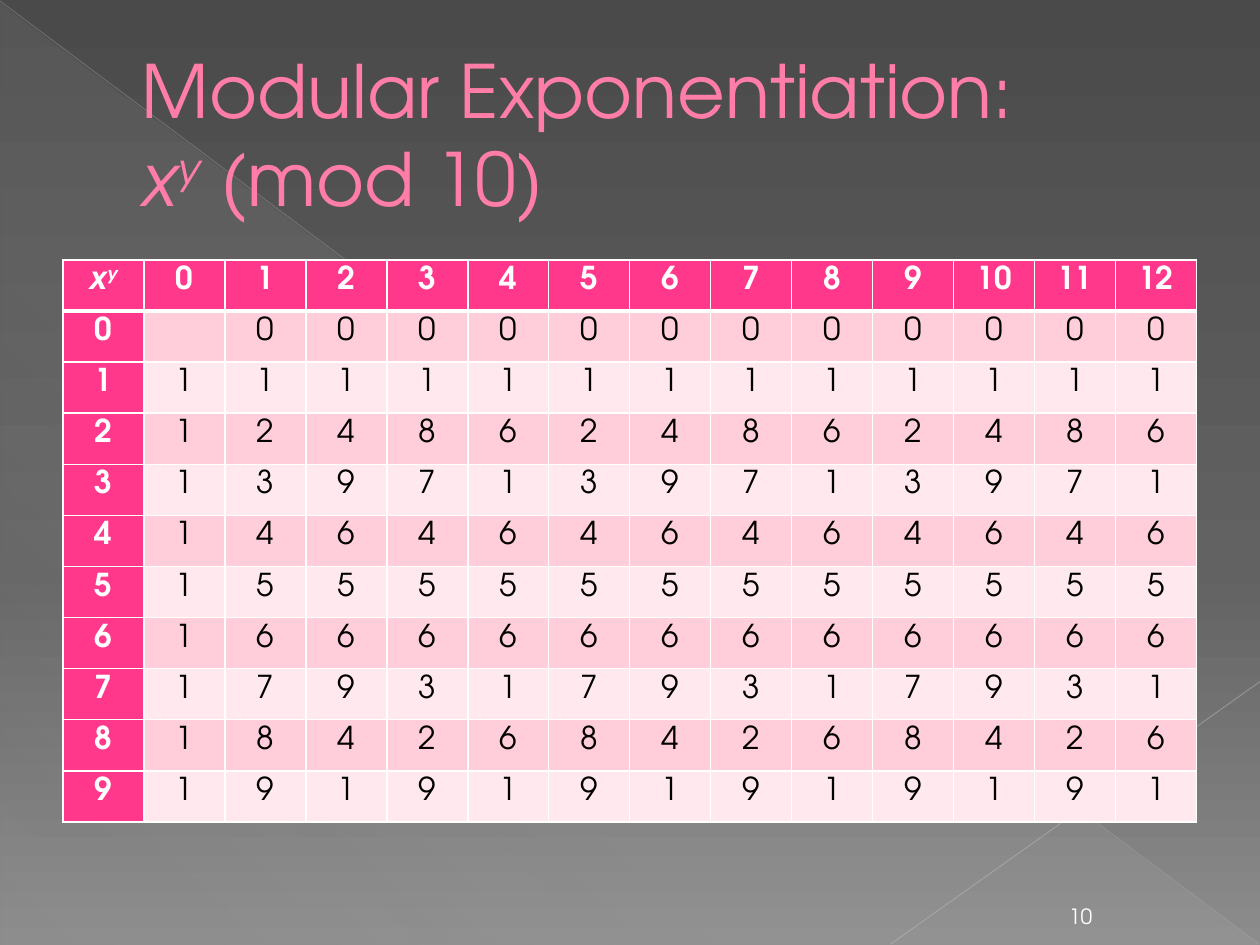
from lxml import etree
from pptx import Presentation
from pptx.dml.color import RGBColor
from pptx.enum.shapes import MSO_CONNECTOR, MSO_SHAPE
from pptx.enum.text import MSO_ANCHOR as ANCHOR, PP_ALIGN as ALIGN
from pptx.oxml.ns import qn
from pptx.util import Pt

FONT = "TeX Gyre Adventor"
PINK, TITLE_PINK, TITLE_EDGE = "FF388C", "FF7DA7", "B12761"
BANDS = ("FFCEDA", "FFE8EE")
WHITE, BLACK = "FFFFFF", "000000"


def rgb(color):
    """Turn a hex string into a colour."""
    return RGBColor.from_string(color)


def add(parent, tag, **attrs):
    """Append a drawing element and return it."""
    el = etree.SubElement(parent, qn("a:" + tag))
    for name, value in attrs.items():
        el.set(name, str(value))
    return el


def add_solid(parent, color):
    """Append a solid fill."""
    add(add(parent, "solidFill"), "srgbClr", val=color)


def set_gradient(fill, stops, angle):
    """Fill with (position, colour, opacity) stops, in percent."""
    fill.gradient()
    grad = fill._fill._gradFill
    for child in list(grad):
        grad.remove(child)
    gs_list = add(grad, "gsLst")
    for pos, color, opacity in stops:
        clr = add(add(gs_list, "gs", pos=pos * 1000), "srgbClr", val=color)
        if opacity < 100:
            add(clr, "alpha", val=opacity * 1000)
    add(grad, "lin", ang=angle * 60000, scaled=0)


class Deck:
    """Style and current slide."""

    def __init__(self, width, height):
        """Start a deck with one blank slide."""
        self.prs = Presentation()
        self.prs.slide_width, self.prs.slide_height = Pt(width), Pt(height)
        self.s = self.prs.slides.add_slide(self.prs.slide_layouts[6])

    def background(self, stops, angle):
        """Give the slide a gradient background."""
        set_gradient(self.s.background.fill, stops, angle)

    def triangle(self, x, y, w, h, stops, angle):
        """Add a right triangle with a gradient."""
        sp = self.s.shapes.add_shape(MSO_SHAPE.RIGHT_TRIANGLE, Pt(x), Pt(y), Pt(w), Pt(h))
        sp.shadow.inherit = False
        sp.line.fill.background()
        set_gradient(sp.fill, stops, angle)

    def line(self, x1, y1, x2, y2, color, width, opacity):
        """Add a translucent straight line."""
        sp = self.s.shapes.add_connector(
            MSO_CONNECTOR.STRAIGHT, Pt(x1), Pt(y1), Pt(x2), Pt(y2))
        sp.line.width = Pt(width)
        sp.line.color.rgb = rgb(color)
        clr = sp.line._ln.find(".//" + qn("a:srgbClr"))
        add(clr, "alpha", val=opacity * 1000)
        add(sp._element.spPr, "effectLst")

    def run(self, p, text, size, color, bold=False, italic=False, raised=False, edge=None):
        """Add one styled run; edge is an outline colour."""
        r = p.add_run()
        r.text = text
        f = r.font
        f.name, f.size, f.bold, f.italic = FONT, Pt(size), bold, italic
        f.color.rgb = rgb(color)
        if raised:
            f._element.set("baseline", "30000")
        if edge:
            ln = add(f._element, "ln", w=Pt(0.5))
            add_solid(ln, edge)
            f._element.insert(0, ln)

    def text(self, x, y, w, h, lines, size, color, anchor, align=ALIGN.LEFT, indent=0, edge=None):
        """Add a text box; each line is a list of (text, style) runs."""
        tf = self.s.shapes.add_textbox(Pt(x), Pt(y), Pt(w), Pt(h)).text_frame
        tf.word_wrap, tf.vertical_anchor = True, anchor
        p = tf.paragraphs[0]
        p.alignment = align
        if indent:
            p._p.get_or_add_pPr().set("marL", str(Pt(indent)))
        for i, runs in enumerate(lines):
            if i:
                p.add_line_break()
                br = p._p.findall(qn("a:br"))[-1]
                add(br, "rPr", sz=size * 100)
            for text, style in runs:
                self.run(p, text, size, color, edge=edge, **style)

    def cell(self, cell, runs, size, color, fill, bold, bottom):
        """Fill in one table cell with white borders."""
        tc_pr = cell._tc.get_or_add_tcPr()
        for side in ("lnL", "lnR", "lnT", "lnB"):
            ln = add(tc_pr, side, w=Pt(bottom if side == "lnB" else 1))
            add_solid(ln, WHITE)
        cell.fill.solid()
        cell.fill.fore_color.rgb = rgb(fill)
        p = cell.text_frame.paragraphs[0]
        p.alignment = ALIGN.CENTER
        for text, style in runs:
            self.run(p, text, size, color, bold=bold, **style)

    def table(self, x, y, w, h, rows, size):
        """Add a table with a header row, a header column and bands."""
        n_rows, n_cols = len(rows), len(rows[0])
        tbl = self.s.shapes.add_table(n_rows, n_cols, Pt(x), Pt(y), Pt(w), Pt(h)).table
        for col in tbl.columns:
            col.width = Pt(w / n_cols)
        for row in tbl.rows:
            row.height = Pt(h / n_rows)
        for i, row in enumerate(rows):
            for j, runs in enumerate(row):
                head = i == 0 or j == 0
                self.cell(tbl.cell(i, j), runs, size, WHITE if head else BLACK,
                          PINK if head else BANDS[(i - 1) % 2], head, 3 if i == 0 else 1)


def plain(value):
    """Make the runs of a plain cell."""
    return [(str(value), {})]


def power_rows(bases, exponents, modulus):
    """Work out the table of powers; zero to the zero stays empty."""
    rows = [[X_TO_Y] + [plain(y) for y in exponents]]
    for x in bases:
        rows.append([plain(x)] + [plain(pow(x, y, modulus)) if x or y else []
                                  for y in exponents])
    return rows


X_TO_Y = [("x", {"italic": True}), ("y", {"italic": True, "raised": True})]

deck = Deck(720, 540)
deck.background([(0, "4A4A4A", 100), (60, "626262", 100), (100, "8C8C8C", 100)], 90)
deck.triangle(0.5, 1.3, 719, 538.7,
              [(0, "D2D2D2", 10), (70, "D2D2D2", 8), (100, "D2D2D2", 1)], 133)
deck.line(0, 0.5, 719.5, 539.5, "BFBFBF", 0.39, 35)
deck.line(720, 389.5, 509, 539.5, "C6C6C6", 0.47, 45)
deck.text(36, 21, 648, 110, [plain("Modular Exponentiation:"), X_TO_Y + plain(" (mod 10)")],
          42, TITLE_PINK, ANCHOR.MIDDLE, indent=38, edge=TITLE_EDGE)
deck.table(36, 148.5, 648, 321.2, power_rows(range(10), range(13), 10), 18)
deck.text(597.5, 510.5, 40, 24, [plain(10)], 12, WHITE, ANCHOR.BOTTOM, ALIGN.CENTER)
deck.prs.save("out.pptx")
